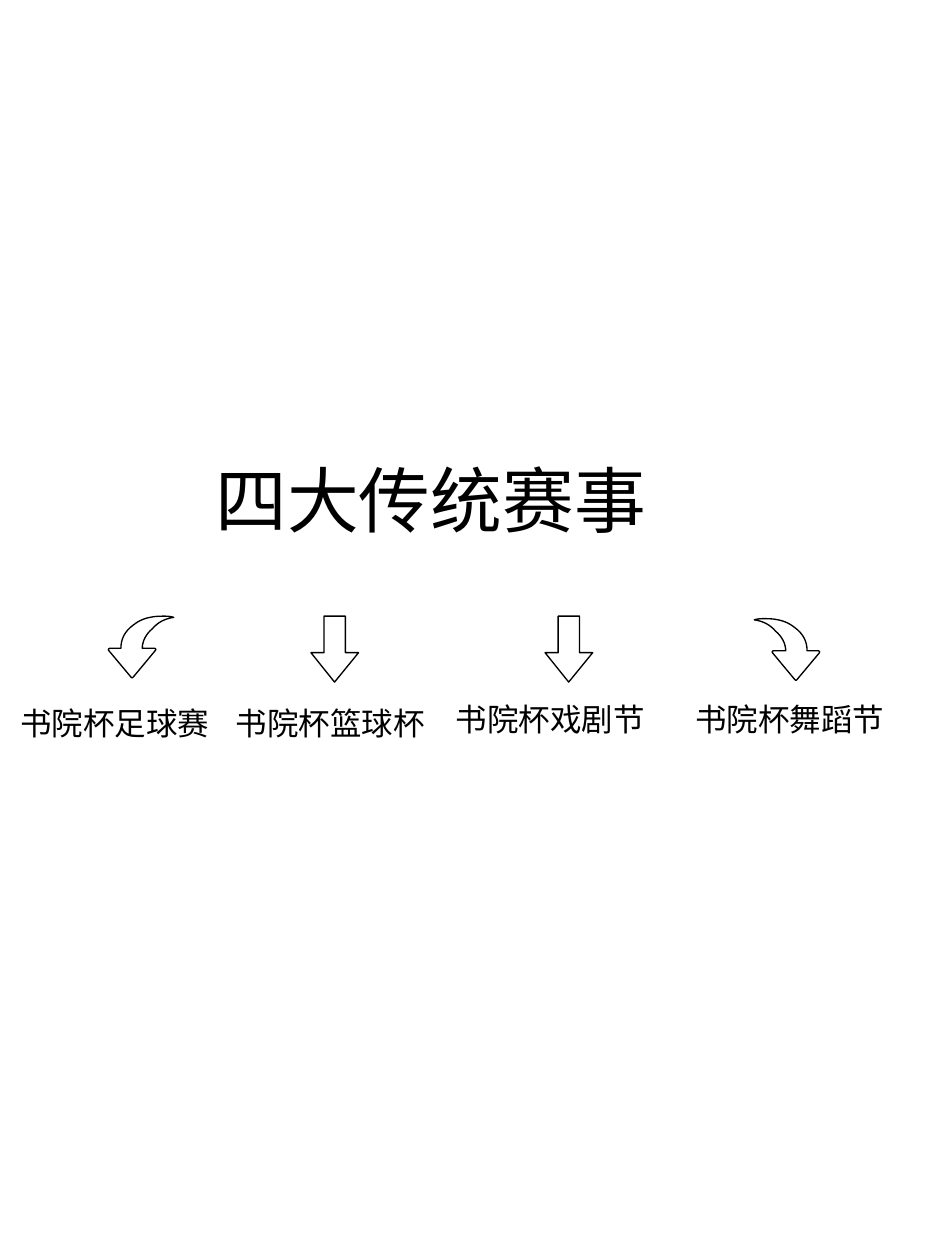
import dataclasses
import typing

import pptx
import pptx.dml.color
import pptx.enum.text
import pptx.util

Pt = pptx.util.Pt
Point = typing.Tuple[float, float]

BLACK = pptx.dml.color.RGBColor(0x00, 0x00, 0x00)
WHITE = pptx.dml.color.RGBColor(0xFF, 0xFF, 0xFF)
FONT_NAME = "Arial"
CURVE_STEPS = 8


@dataclasses.dataclass
class Label:
    text: str
    left: float
    top: float
    width: float


@dataclasses.dataclass
class Arrow:
    outline: typing.List[Point]
    left: float
    top: float
    mirrored: bool = False


def curve(start: Point, *controls: Point) -> typing.List[Point]:
    """Points along a chain of cubic curves, three controls to each curve."""
    points = [start]
    for index in range(0, len(controls), 3):
        corners = (points[-1], *controls[index:index + 3])
        for step in range(1, CURVE_STEPS + 1):
            t = step / CURVE_STEPS
            weights = ((1 - t) ** 3, 3 * t * (1 - t) ** 2, 3 * t * t * (1 - t), t ** 3)
            points.append(tuple(sum(w * corner[axis] for w, corner in zip(weights, corners))
                                for axis in (0, 1)))
    return points


# Arrow outlines, measured from their top left corner
STRAIGHT = [(13.5, 37.7), (0, 20.9), (7.5, 20.9), (7.5, 0),
            (19.7, 0), (19.7, 20.9), (27.2, 20.9)]
CURVED = [
    *curve((19.4, 18.4),
           (19.4, 14.4), (21.6, 10.1), (25.2, 7.2),
           (28.1, 3.6), (32.4, 1.4), (37.4, 0.7),
           (35.3, 0), (33.1, 0), (31, 0),
           (24.5, 0), (18.7, 1.4), (14.4, 5),
           (9.4, 8.6), (7.2, 13), (7.2, 18.4)),
    (0.7, 18.4), (0, 18.9), (0.2, 19.6),
    (13, 34.9), (13.6, 35.3), (14.2, 34.9),
    (26.9, 19.6), (27.2, 18.9), (26.6, 18.4),
]

ARROWS = [
    Arrow(STRAIGHT, 177.7, 352.1),
    Arrow(STRAIGHT, 311.5, 352.1),
    Arrow(CURVED, 61.9, 352.1),
    Arrow(CURVED, 431, 353.5, mirrored=True),
]

LABELS = [
    Label("书院杯足球赛", 11.5, 402.5, 117.4),
    Label("书院杯篮球杯", 134.6, 402.5, 123.8),
    Label("书院杯戏剧节", 260.6, 400.3, 125.3),
    Label("书院杯舞蹈节", 397.4, 400.3, 131),
]


def write_text(shape: typing.Any, text: str, size: float) -> None:
    frame = shape.text_frame
    frame_format = {
        "margin_left": 0, "margin_top": 0, "margin_right": 0, "margin_bottom": 0,
        "word_wrap": True,
        "vertical_anchor": pptx.enum.text.MSO_ANCHOR.TOP,
        "auto_size": pptx.enum.text.MSO_AUTO_SIZE.SHAPE_TO_FIT_TEXT,
    }
    for name, value in frame_format.items():
        setattr(frame, name, value)
    paragraph = frame.paragraphs[0]
    paragraph.alignment = pptx.enum.text.PP_ALIGN.LEFT
    run = paragraph.add_run()
    run.text = text
    for name, value in {"name": FONT_NAME, "size": Pt(size)}.items():
        setattr(run.font, name, value)
    run.font.color.rgb = BLACK


def draw_arrow(slide: typing.Any, arrow: Arrow) -> None:
    width = max(x for x, _ in arrow.outline)
    points = [(Pt(arrow.left + (width - x if arrow.mirrored else x)), Pt(arrow.top + y))
              for x, y in arrow.outline]
    builder = slide.shapes.build_freeform(*points[0])
    builder.add_line_segments(points[1:], close=True)
    shape = builder.convert_to_shape()
    shape.shadow.inherit = False
    shape.fill.solid()
    shape.fill.fore_color.rgb = WHITE
    shape.line.color.rgb = BLACK
    shape.line.width = Pt(0.77)


def draw_label(slide: typing.Any, label: Label) -> None:
    shape = slide.shapes.add_textbox(Pt(label.left), Pt(label.top), Pt(label.width), Pt(21.6))
    write_text(shape, label.text, 18)


def main() -> None:
    presentation = pptx.Presentation()
    presentation.slide_width = Pt(540)
    presentation.slide_height = Pt(720)
    slide = presentation.slides.add_slide(presentation.slide_layouts.get_by_name("Title Only"))

    # Title
    title = slide.shapes.title
    for name, value in {"left": 123.1, "top": 260.6, "width": 326.9, "height": 49}.items():
        setattr(title, name, Pt(value))
    write_text(title, "四大传统赛事", 41)

    # Arrows down to the four events
    for arrow in ARROWS:
        draw_arrow(slide, arrow)
    for label in LABELS:
        draw_label(slide, label)

    presentation.save("out.pptx")


if __name__ == "__main__":
    main()
